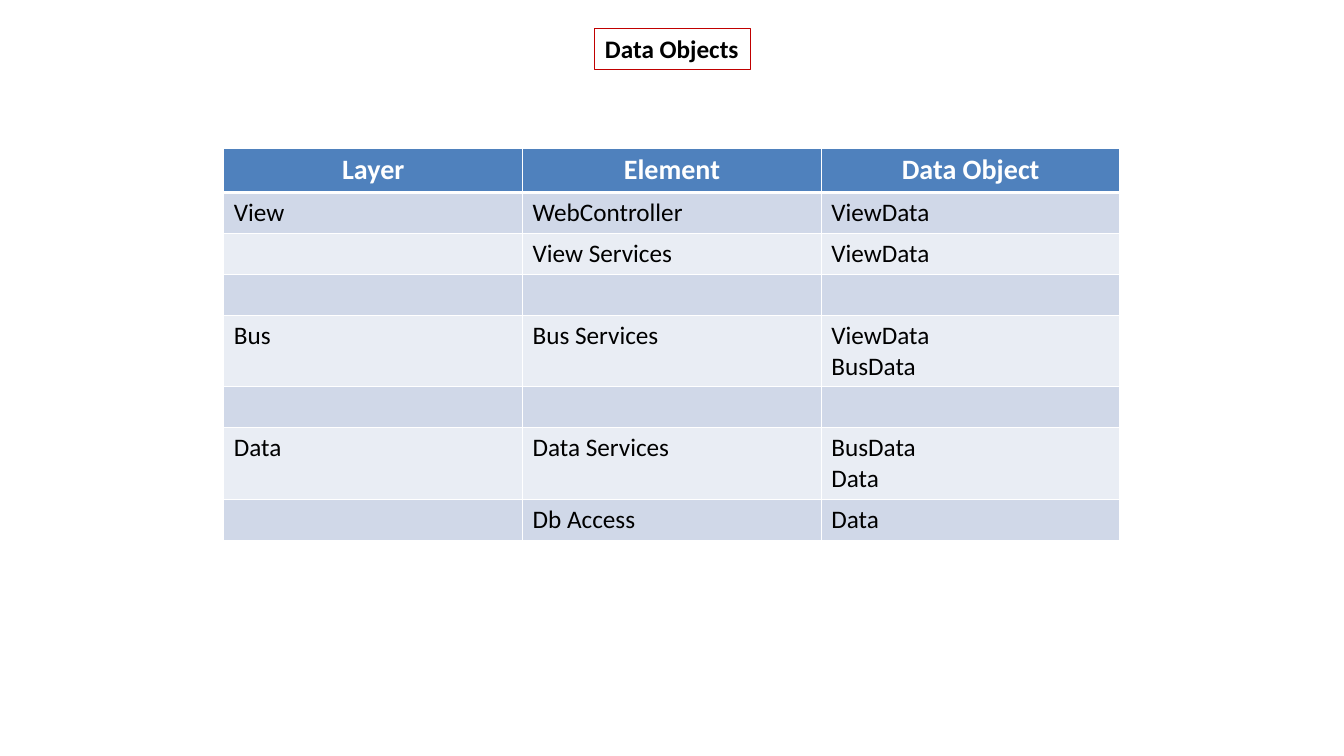
"""Build the Data Objects slide: a boxed title above a table of layers."""
from dataclasses import dataclass

from lxml.etree import SubElement
from pptx import Presentation
from pptx.dml.color import RGBColor as RGB
from pptx.enum.text import MSO_ANCHOR as ANCHOR, MSO_AUTO_SIZE as AUTO_SIZE, PP_ALIGN as ALIGN
from pptx.oxml.ns import qn
from pptx.util import Inches, Pt


@dataclass(frozen=True)
class Theme:
    font: str = "Calibri"
    header_size: int = 20
    text_size: int = 18
    text: str = "000000"
    white: str = "FFFFFF"
    header: str = "4F81BD"
    bands: tuple = ("D0D8E8", "E9EDF4")
    outline: str = "C00000"


THEME = Theme()


def write(frame, text, size=THEME.text_size, color=THEME.text, bold=False, align=ALIGN.LEFT):
    frame.text = text
    for paragraph in frame.paragraphs:
        paragraph.alignment = align
        paragraph.font.size = Pt(size)
        for run in paragraph.runs:
            run.font.name = THEME.font
            run.font.size = Pt(size)
            run.font.bold = bold
            run.font.color.rgb = RGB.from_string(color)


def set_borders(cell, widths):
    properties = cell._tc.get_or_add_tcPr()
    for position, (side, width) in enumerate(widths.items()):
        border = SubElement(properties, qn(f"a:{side}"), w=str(Pt(width)))
        fill = SubElement(border, qn("a:solidFill"))
        SubElement(fill, qn("a:srgbClr"), val=THEME.white)
        properties.insert(position, border)


prs = Presentation()
prs.slide_width, prs.slide_height = Inches(13.33), Inches(7.5)
slide = prs.slides.add_slide(prs.slide_layouts[5])

heading = slide.shapes.title
heading.left, heading.top = Inches(5.9), Inches(0.28)
heading.width, heading.height = Inches(1.54), Inches(0.41)
heading.line.color.rgb = RGB.from_string(THEME.outline)
heading.line.width = Pt(0.75)
write(heading.text_frame, "Data Objects", bold=True)
heading.text_frame.word_wrap = False
heading.text_frame.auto_size = AUTO_SIZE.NONE
heading.text_frame.vertical_anchor = ANCHOR.MIDDLE

layer_rows = [
    ("Layer", "Element", "Data Object"),
    ("View", "WebController", "ViewData"),
    ("", "View Services", "ViewData"),
    ("", "", ""),
    ("Bus", "Bus Services", "ViewData\nBusData"),
    ("", "", ""),
    ("Data", "Data Services", "BusData\nData"),
    ("", "Db Access", "Data"),
]
layers = slide.shapes.add_table(
    len(layer_rows), 3, Inches(2.22), Inches(1.47), Inches(8.89), Inches(3.86)
).table

for row_index, entries in enumerate(layer_rows):
    is_header = row_index == 0
    two_lines = any("\n" in entry for entry in entries)
    layers.rows[row_index].height = Inches(0.71 if two_lines else 0.4)
    band = THEME.header if is_header else THEME.bands[(row_index - 1) % 2]
    top = 3 if row_index == 1 else 1
    bottom = 3 if is_header else 1
    for column_index, entry in enumerate(entries):
        cell = layers.cell(row_index, column_index)
        cell.fill.solid()
        cell.fill.fore_color.rgb = RGB.from_string(band)
        set_borders(cell, {"lnL": 1, "lnR": 1, "lnT": top, "lnB": bottom})
        if is_header:
            write(cell.text_frame, entry, size=THEME.header_size, color=THEME.white,
                  bold=True, align=ALIGN.CENTER)
        else:
            write(cell.text_frame, entry)

prs.save("out.pptx")
